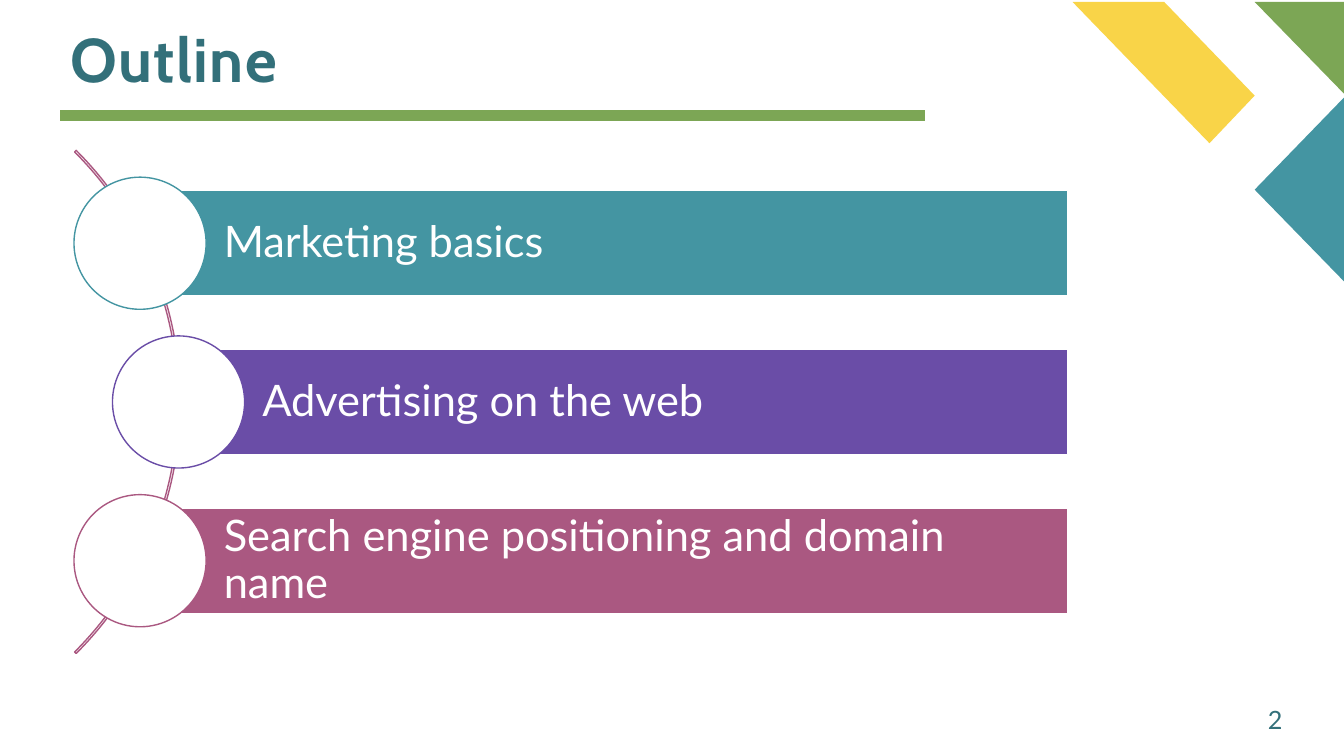
import pptx
import pptx.util
import pptx.dml.color
import pptx.enum.shapes
import pptx.enum.text
from pptx.util import Cm, Pt

# Content
TITLE = "Outline"
PAGE_NUMBER = "2"
COLOURS = {"yellow": "F9D448", "green": "7CA655", "teal": "4495A2", "purple": "6A4DA7",
           "plum": "AA5881", "ink": "33707A", "white": "FFFFFF"}
# (wording, colour, left edge of the bar in cm)
TOPICS = [
    ("Marketing basics", "teal", 3.53),
    ("Advertising on the web", "purple", 4.5),
    ("Search engine positioning and domain name", "plum", 3.53),
]
# Corner points in cm
CORNERS = [
    ("yellow", [(27.03, 0.05), (29.34, 0.05), (31.62, 2.41), (30.48, 3.61)]),
    ("green", [(31.62, 0.05), (33.87, 0.05), (33.87, 2.36)]),
    ("teal", [(33.87, 7.09), (31.62, 4.78), (33.87, 2.46)]),
]

# Layout in cm
BAR_RIGHT, BAR_HEIGHT, CIRCLE = 26.9, 2.66, 3.33
FIRST_ROW, ROW_STEP = 6.13, 4.0
ARC_SIZE, ARC_CENTRE = 17.93, -4.42

SHAPES = pptx.enum.shapes.MSO_SHAPE
MIDDLE = pptx.enum.text.MSO_ANCHOR.MIDDLE
LEFT = pptx.enum.text.PP_ALIGN.LEFT


def colour(name):
    return pptx.dml.color.RGBColor.from_string(COLOURS[name])


def paint(shape, fill=None, line=None):
    shape.shadow.inherit = False
    for part, name in ((shape.fill, fill), (shape.line.fill, line)):
        if name:
            part.solid()
            part.fore_color.rgb = colour(name)
        else:
            part.background()
    if line:
        shape.line.width = Pt(1)


def add_centred(page, kind, centre_x, centre_y, size):
    return page.shapes.add_shape(kind, Cm(centre_x - size / 2), Cm(centre_y - size / 2),
                                 Cm(size), Cm(size))


def write(shape, text, ink, line_spacing=1.0, margins=None, **font_values):
    frame = shape.text_frame
    frame.word_wrap = True
    frame.vertical_anchor = MIDDLE
    for name, value in (margins or {}).items():
        setattr(frame, name, Cm(value))
    para = frame.paragraphs[0]
    para.alignment = LEFT
    para.line_spacing = line_spacing
    span = para.add_run()
    span.text = text
    span.font.color.rgb = colour(ink)
    for name, value in font_values.items():
        setattr(span.font, name, value)
    return span


def add_frame(page):
    # Corner decoration
    for name, points in CORNERS:
        points = [(Cm(x), Cm(y)) for x, y in points]
        builder = page.shapes.build_freeform(*points[0])
        builder.add_line_segments(points[1:], close=True)
        paint(builder.convert_to_shape(), fill=name)

    # Rule under the title
    rule = page.shapes.add_connector(pptx.enum.shapes.MSO_CONNECTOR.STRAIGHT,
                                     Cm(1.52), Cm(2.92), Cm(23.3), Cm(2.92))
    rule.line.color.rgb = colour("green")
    rule.line.width = Pt(8)
    properties = rule._element.spPr
    properties.append(properties.makeelement(pptx.oxml.ns.qn("a:effectLst"), {}))

    # Page number
    number = page.shapes.add_textbox(Cm(31.7), Cm(17.63), Cm(1.5), Cm(1.02))
    write(number, PAGE_NUMBER, "ink", name="Lato", size=Pt(18))

    # Title
    title = page.shapes.title
    place = {"left": 1.52, "top": 0.38, "width": 30.68, "height": 2.41}
    for name, value in place.items():
        setattr(title, name, Cm(value))
    span = write(title, TITLE, "ink", 0.9, name="Cabin", size=Pt(44), bold=True)
    span.font._element.set("spc", "100")


def add_topics(page):
    # Arc behind the circles
    middle_row = FIRST_ROW + ROW_STEP * (len(TOPICS) - 1) / 2
    arc = add_centred(page, SHAPES.BLOCK_ARC, ARC_CENTRE, middle_row, ARC_SIZE)
    for index, value in enumerate((189, 27, 0.00306)):
        arc.adjustments[index] = value
    paint(arc, line="plum")

    # Each bar starts at the centre of its circle
    margins = {"margin_left": 2.11, "margin_right": 0.23,
               "margin_top": 0.23, "margin_bottom": 0.23}
    for row, (wording, name, left) in enumerate(TOPICS):
        centre = FIRST_ROW + row * ROW_STEP
        bar = page.shapes.add_shape(SHAPES.RECTANGLE, Cm(left), Cm(centre - BAR_HEIGHT / 2),
                                    Cm(BAR_RIGHT - left), Cm(BAR_HEIGHT))
        paint(bar, fill=name, line="white")
        write(bar, wording, "white", 0.9, margins, name="Lato", size=Pt(31))
        circle = add_centred(page, SHAPES.OVAL, left, centre, CIRCLE)
        paint(circle, fill="white", line=name)


def main():
    deck = pptx.Presentation()
    deck.slide_width, deck.slide_height = Cm(33.87), Cm(19.05)
    page = deck.slides.add_slide(deck.slide_layouts[5])
    add_frame(page)
    add_topics(page)
    deck.save("out.pptx")


if __name__ == "__main__":
    main()
